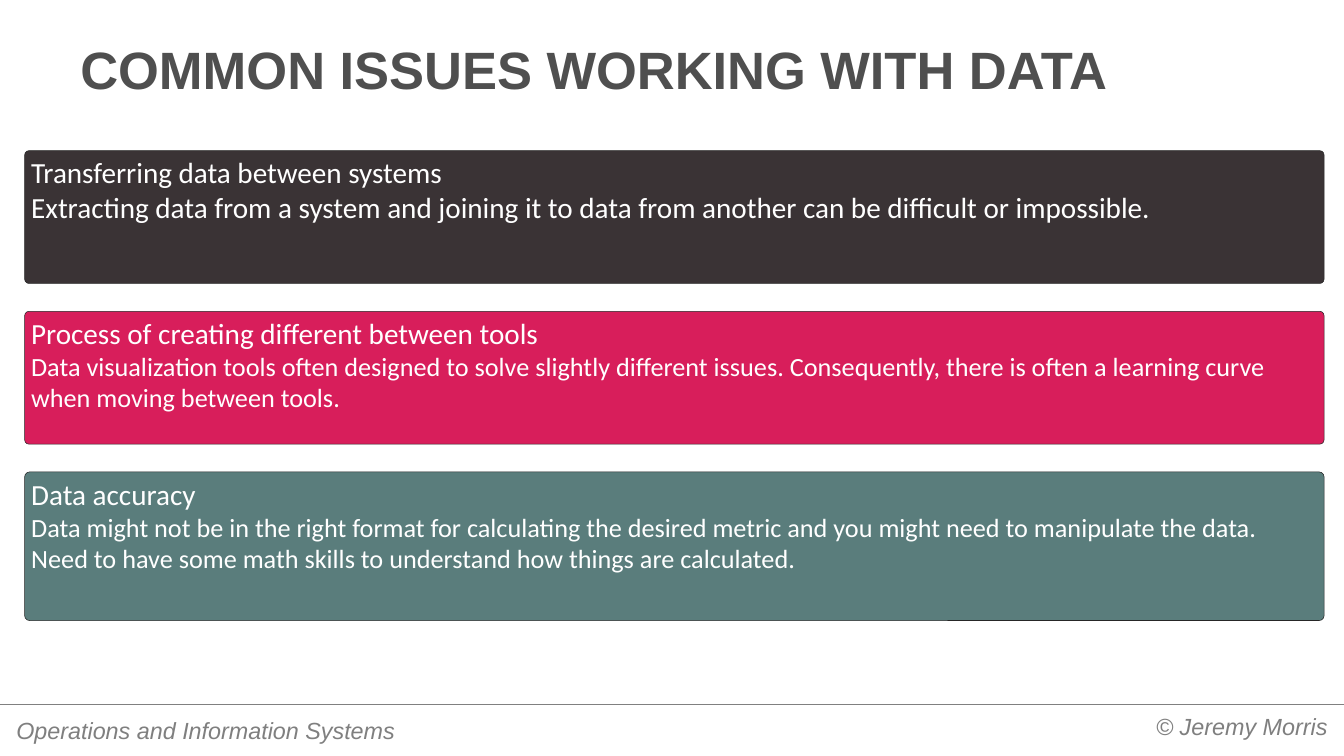
import pptx
import pptx.util
import pptx.dml.color
import pptx.enum.shapes
import pptx.enum.text
from dataclasses import dataclass

Inches = pptx.util.Inches
Pt = pptx.util.Pt
Align = pptx.enum.text.PP_ALIGN
Anchor = pptx.enum.text.MSO_ANCHOR


@dataclass(frozen=True)
class Theme:
    title: str = "4F4F4F"
    foot: str = "7F7F7F"
    rule: str = "808080"
    edge: str = "262626"
    white: str = "FFFFFF"
    head_font: str = "Arial"
    card_font: str = "Calibri"
    title_size: int = 72
    head_size: int = 40
    body_size: int = 36
    foot_size: int = 32
    line: float = 0.75


theme = Theme()

title = "COMMON ISSUES WORKING WITH DATA"
course = "Operations and Information Systems"
owner = "© Jeremy Morris"
cards = [
    ("3A3335", 2.53, theme.head_size, [
        "Transferring data between systems",
        "Extracting data from a system and joining it to data from another "
        "can be difficult or impossible."]),
    ("D81E5B", 2.53, theme.body_size, [
        "Process of creating different between tools",
        "Data visualization tools often designed to solve slightly different issues. "
        "Consequently, there is often a learning curve when moving between tools."]),
    ("5A7D7C", 2.83, theme.body_size, [
        "Data accuracy",
        "Data might not be in the right format for calculating the desired metric "
        "and you might need to manipulate the data.",
        "Need to have some math skills to understand how things are calculated."]),
]
left, top, width, gap = 0.47, 2.87, 24.75, 0.53
rule_y = 13.41


def color(code):
    return pptx.dml.color.RGBColor.from_string(code)


def write(shape, lines, *, sizes, font, ink, inset=(0.1, 0.05), align=Align.LEFT,
          anchor=Anchor.TOP, bold=False, italic=False):
    frame = shape.text_frame
    frame.word_wrap = True
    frame.vertical_anchor = anchor
    frame.margin_left = frame.margin_right = Inches(inset[0])
    frame.margin_top = frame.margin_bottom = Inches(inset[1])
    frame.text = "\n".join(lines)
    for para, size in zip(frame.paragraphs, sizes):
        para.alignment = align
        for run in para.runs:
            run.font.name = font
            run.font.size = Pt(size)
            run.font.bold = bold
            run.font.italic = italic
            run.font.color.rgb = color(ink)


def add_label(slide, text, box, *, size, **style):
    shape = slide.shapes.add_textbox(*map(Inches, box))
    write(shape, [text], sizes=[size], font=theme.head_font, **style)


def add_rule(slide, y, span):
    rule = slide.shapes.add_connector(
        pptx.enum.shapes.MSO_CONNECTOR.STRAIGHT, 0, Inches(y), span, Inches(y))
    rule.line.color.rgb = color(theme.rule)
    rule.line.width = Pt(theme.line)
    pptx.oxml.xmlchemy.OxmlElement
    props = rule._element.spPr
    props.append(pptx.oxml.parse_xml(
        '<a:effectLst xmlns:a="http://schemas.openxmlformats.org/drawingml/2006/main"/>'))


def add_card(slide, y, fill, height, size, lines):
    card = slide.shapes.add_shape(
        pptx.enum.shapes.MSO_SHAPE.ROUNDED_RECTANGLE,
        *map(Inches, (left, y, width, height)))
    card.adjustments[0] = 0.032
    card.shadow.inherit = False
    card.fill.solid()
    card.fill.fore_color.rgb = color(fill)
    card.line.color.rgb = color(theme.edge)
    card.line.width = Pt(theme.line)
    sizes = [theme.head_size] + [size] * (len(lines) - 1)
    write(card, lines, sizes=sizes, font=theme.card_font, ink=theme.white)


def main():
    deck = pptx.Presentation()
    deck.slide_width, deck.slide_height = Inches(25.6), Inches(14.4)
    slide = deck.slides.add_slide(deck.slide_layouts[6])

    add_rule(slide, rule_y, deck.slide_width)
    foot = dict(size=theme.foot_size, ink=theme.foot, italic=True, inset=(0.18, 0.09))
    add_label(slide, owner, (14.58, 13.48, 10.89, 0.72), align=Align.RIGHT, **foot)
    add_label(slide, course, (0.13, 13.56, 8.75, 0.72), **foot)
    add_label(slide, title, (1.28, 0.53, 23.04, 1.49), size=theme.title_size,
              ink=theme.title, bold=True, inset=(0.25, 0.12), anchor=Anchor.BOTTOM)

    y = top
    for fill, height, size, lines in cards:
        add_card(slide, y, fill, height, size, lines)
        y += height + gap

    deck.save("out.pptx")


if __name__ == "__main__":
    main()
